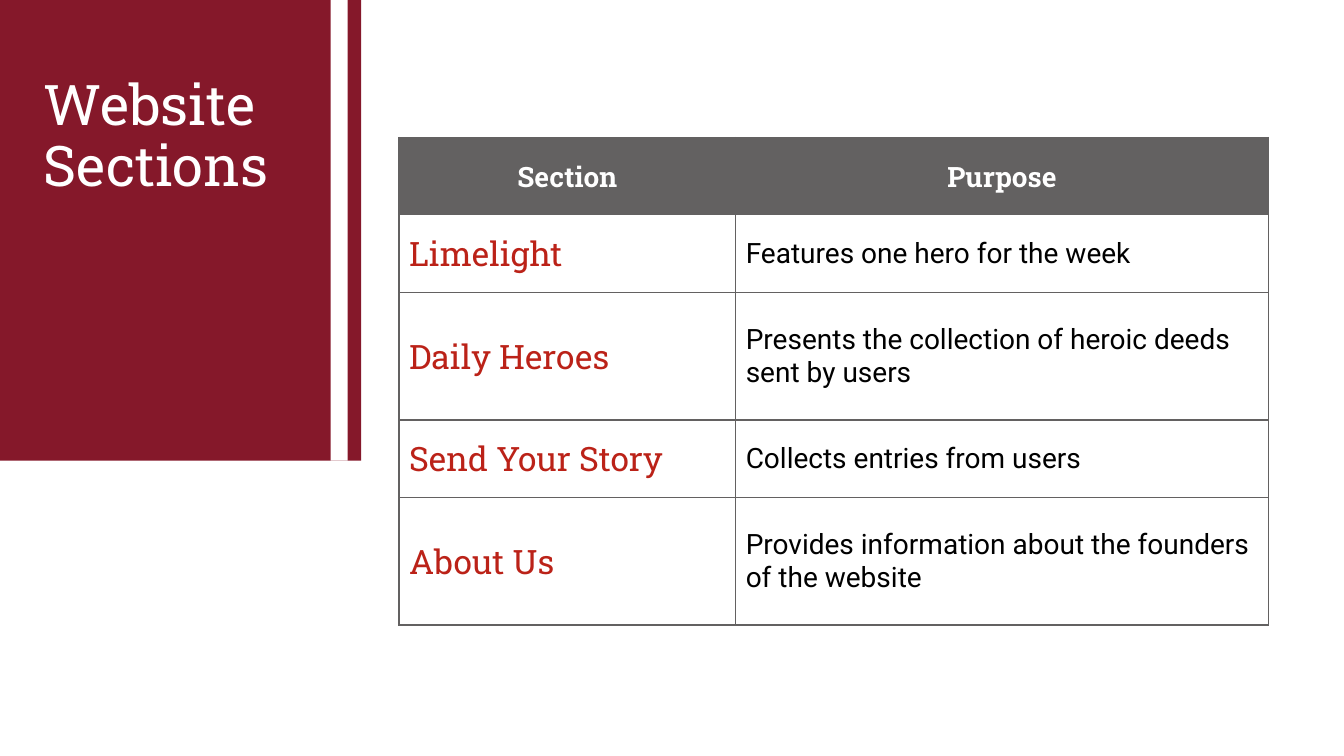
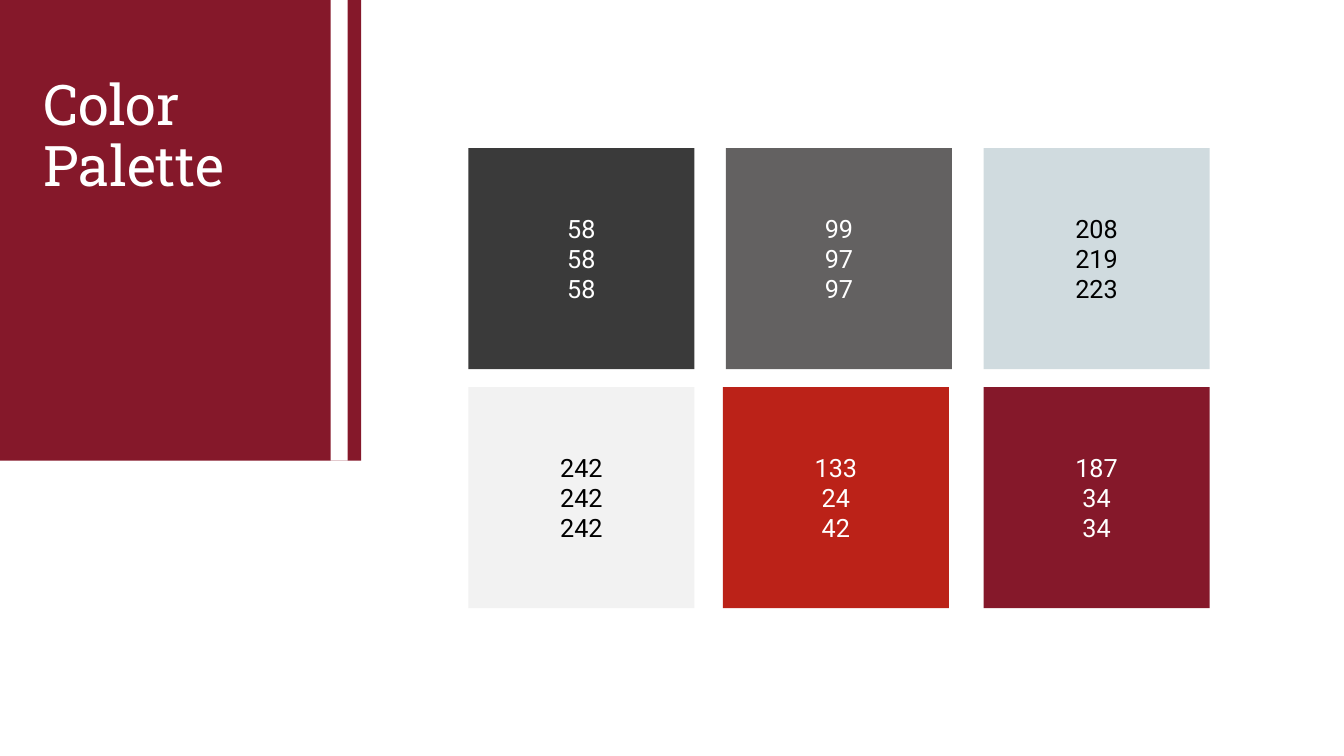
"""Build two slides: a table of website sections and a colour palette."""
from lxml.etree import SubElement
from pptx import Presentation
from pptx.dml.color import RGBColor
from pptx.enum.shapes import MSO_SHAPE as Shape
from pptx.enum.text import MSO_ANCHOR as Anchor, PP_ALIGN as Align
from pptx.oxml.ns import qn
from pptx.util import Pt

WINE, RED, GREY = "85182A", "BB2218", "636161"
CHARCOAL, MIST, PALE = "3A3A3A", "D0DBDF", "F2F2F2"
WHITE, BLACK = "FFFFFF", "000000"
SERIF, SANS = "Roboto Slab", "Roboto"

TITLE = dict(name=SERIF, size=Pt(40), color=WHITE)
HEADER = dict(name=SERIF, size=Pt(20), color=WHITE, bold=True)
SECTION = dict(name=SERIF, size=Pt(24), color=RED, bold=False)
PURPOSE = dict(name=SANS, size=Pt(20), color=BLACK, bold=False)
SWATCH = dict(name=SANS, size=Pt(18))

BANDS = [(0, 258, WINE), (236.2, 12.2, WHITE)]
BAND_HEIGHT = 329
TITLE_BOX = (23.8, 46.1, 201.6, 104.4)

SECTIONS_TITLE = ["Website Sections"]
SECTIONS = [
    ("Section", "Purpose"),
    ("Limelight", "Features one hero for the week"),
    ("Daily Heroes", "Presents the collection of heroic deeds sent by users"),
    ("Send Your Story", "Collects entries from users"),
    ("About Us", "Provides information about the founders of the website"),
]
TABLE_LEFT, TABLE_TOP = 285, 98.2
COLUMN_WIDTHS = [240.5, 380.5]
ROW_HEIGHTS = [55.3, 55.3, 91.2, 55.3, 91.2]

PALETTE_TITLE = ["Color", "Palette"]
PALETTE = [
    [(CHARCOAL, WHITE, (58, 58, 58), 0), (GREY, WHITE, (99, 97, 97), 0),
     (MIST, BLACK, (208, 219, 223), 0)],
    [(PALE, BLACK, (242, 242, 242), 0), (RED, WHITE, (133, 24, 42), -2.2),
     (WINE, WHITE, (187, 34, 34), 0)],
]
SWATCH_LEFT, SWATCH_TOP = 334.6, 105.8
SWATCH_WIDTH, SWATCH_HEIGHT = 161.4, 158
GAP_X, GAP_Y = 22.6, 12.7


def rgb(code):
    return RGBColor.from_string(code)


def points(*lengths):
    return [Pt(length) for length in lengths]


def paint(target, color):
    target.fill.solid()
    target.fill.fore_color.rgb = rgb(color)


def write(frame, lines, style, align=Align.LEFT, spacing=1.0):
    frame.word_wrap = True
    frame.vertical_anchor = Anchor.MIDDLE
    for index, line in enumerate(lines):
        para = frame.paragraphs[0] if index == 0 else frame.add_paragraph()
        para.alignment, para.line_spacing = align, spacing
        span = para.add_run()
        span.text = str(line)
        for key, value in style.items():
            if key == "color":
                span.font.color.rgb = rgb(value)
            else:
                setattr(span.font, key, value)


def add_block(page, bounds, color):
    block = page.shapes.add_shape(Shape.RECTANGLE, *points(*bounds))
    block.shadow.inherit = False
    block.line.fill.background()
    paint(block, color)
    return block


def add_title_panel(page, lines):
    for left, width, color in BANDS:
        add_block(page, (left, 0, width, BAND_HEIGHT), color)
    box = page.shapes.add_textbox(*points(*TITLE_BOX))
    write(box.text_frame, lines, TITLE, spacing=0.9)


def outline(cell, color):
    props = cell._tc.get_or_add_tcPr()
    for side in ("lnL", "lnR", "lnT", "lnB"):
        line = SubElement(props, qn(f"a:{side}"), w=str(Pt(1)))
        fill = SubElement(line, qn("a:solidFill"))
        SubElement(fill, qn("a:srgbClr"), val=color)


def add_sections(page):
    bounds = points(TABLE_LEFT, TABLE_TOP, sum(COLUMN_WIDTHS), sum(ROW_HEIGHTS))
    table = page.shapes.add_table(len(SECTIONS), len(COLUMN_WIDTHS), *bounds).table
    table.first_row = table.horz_banding = False
    for column, width in zip(table.columns, COLUMN_WIDTHS):
        column.width = Pt(width)
    for row, height, texts in zip(table.rows, ROW_HEIGHTS, SECTIONS):
        row.height = Pt(height)
        header = texts is SECTIONS[0]
        styles = (HEADER, HEADER) if header else (SECTION, PURPOSE)
        for cell, text, style in zip(row.cells, texts, styles):
            outline(cell, GREY)
            paint(cell, GREY if header else WHITE)
            write(cell.text_frame, [text], style,
                  Align.CENTER if header else Align.LEFT)
            cell.vertical_anchor = Anchor.MIDDLE


def add_palette(page):
    for row, swatches in enumerate(PALETTE):
        top = SWATCH_TOP + row * (SWATCH_HEIGHT + GAP_Y)
        for column, (color, ink, values, shift) in enumerate(swatches):
            left = SWATCH_LEFT + column * (SWATCH_WIDTH + GAP_X) + shift
            block = add_block(page, (left, top, SWATCH_WIDTH, SWATCH_HEIGHT), color)
            write(block.text_frame, values, dict(SWATCH, color=ink), Align.CENTER)


def main():
    deck = Presentation()
    deck.slide_width, deck.slide_height = points(960, 540)
    for title, add_content in [(SECTIONS_TITLE, add_sections),
                               (PALETTE_TITLE, add_palette)]:
        page = deck.slides.add_slide(deck.slide_layouts[6])
        add_content(page)
        add_title_panel(page, title)
    deck.save("out.pptx")


if __name__ == "__main__":
    main()
